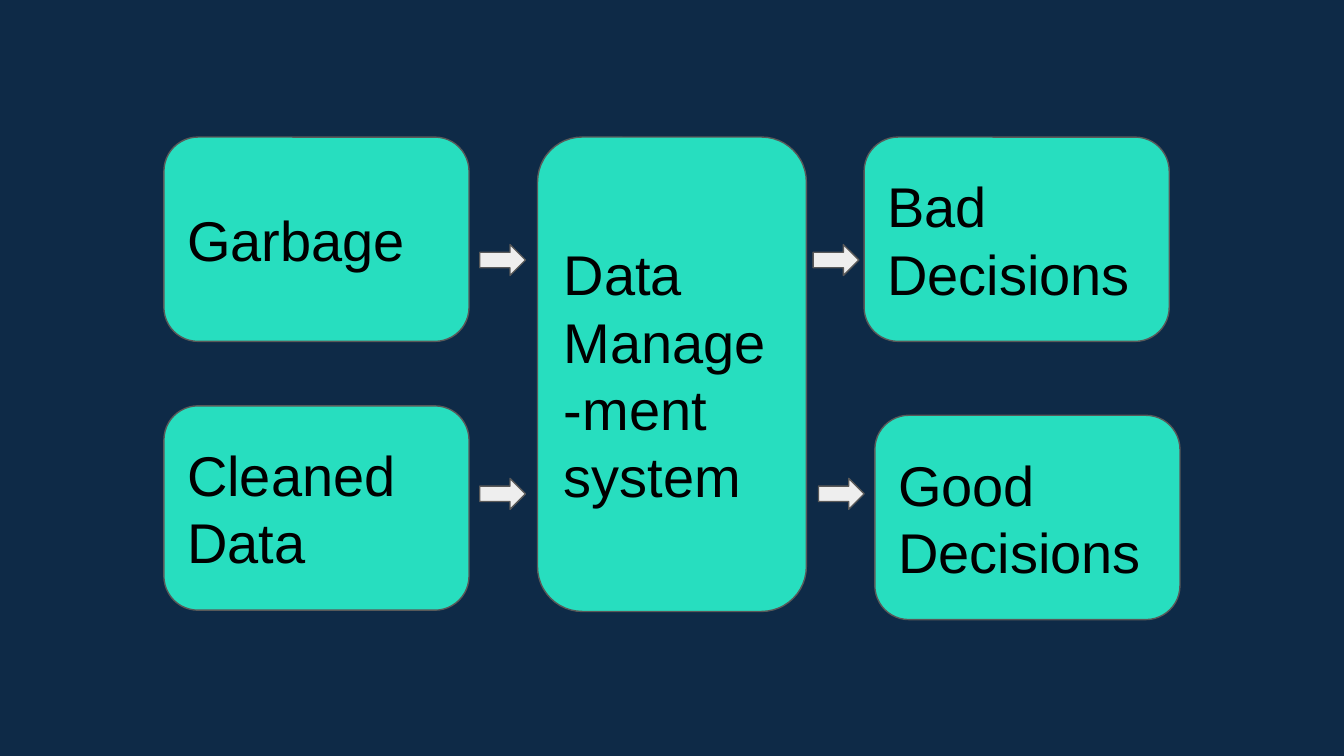
import pptx
import pptx.dml.color
import pptx.enum.shapes
import pptx.enum.text
import pptx.util
from pptx.util import Inches

COLORS = {
    "background": "0E2A47",
    "box": "27DEBF",
    "arrow": "EEEEEE",
    "outline": "595959",
    "text": "000000",
}
SHAPES = pptx.enum.shapes.MSO_SHAPE


def color(name):
    return pptx.dml.color.RGBColor.from_string(COLORS[name])


def add_outlined(page, kind, left, top, width, height, fill):
    shape = page.shapes.add_shape(
        kind, Inches(left), Inches(top), Inches(width), Inches(height))
    shape.shadow.inherit = False
    shape.fill.solid()
    shape.fill.fore_color.rgb = color(fill)
    shape.line.color.rgb = color("outline")
    shape.line.width = pptx.util.Pt(0.75)
    return shape


# Widescreen 16:9 page
deck = pptx.Presentation()
deck.slide_width = Inches(10)
deck.slide_height = Inches(10 * 9 / 16)
page = deck.slides.add_slide(deck.slide_layouts[6])
page.background.fill.solid()
page.background.fill.fore_color.rgb = color("background")

# Boxes: inputs, system and outcomes
SMALL = (2.27, 1.52)
boxes = [
    ("Data Manage-ment system", 4, 1.02, (2, 3.53)),
    ("Bad Decisions", 6.43, 1.02, SMALL),
    ("Good\nDecisions", 6.51, 3.09, SMALL),
    ("Garbage", 1.22, 1.02, SMALL),
    ("Cleaned Data", 1.22, 3.02, SMALL),
]
for label, left, top, (width, height) in boxes:
    box = add_outlined(page, SHAPES.ROUNDED_RECTANGLE, left, top, width, height, "box")
    frame = box.text_frame
    frame.word_wrap = True
    frame.vertical_anchor = pptx.enum.text.MSO_ANCHOR.MIDDLE
    frame.margin_left = frame.margin_right = Inches(0.1)
    frame.margin_top = frame.margin_bottom = Inches(0.1)
    frame.text = label
    for para in frame.paragraphs:
        para.alignment = pptx.enum.text.PP_ALIGN.LEFT
        for span in para.runs:
            span.font.name = "Arial"
            span.font.size = pptx.util.Pt(30)
            span.font.color.rgb = color("text")

# Block arrows into and out of the system
for left, top in [(3.57, 1.82), (3.57, 3.56), (6.05, 1.82), (6.09, 3.56)]:
    add_outlined(page, SHAPES.RIGHT_ARROW, left, top, 0.34, 0.23, "arrow")

deck.save("out.pptx")
